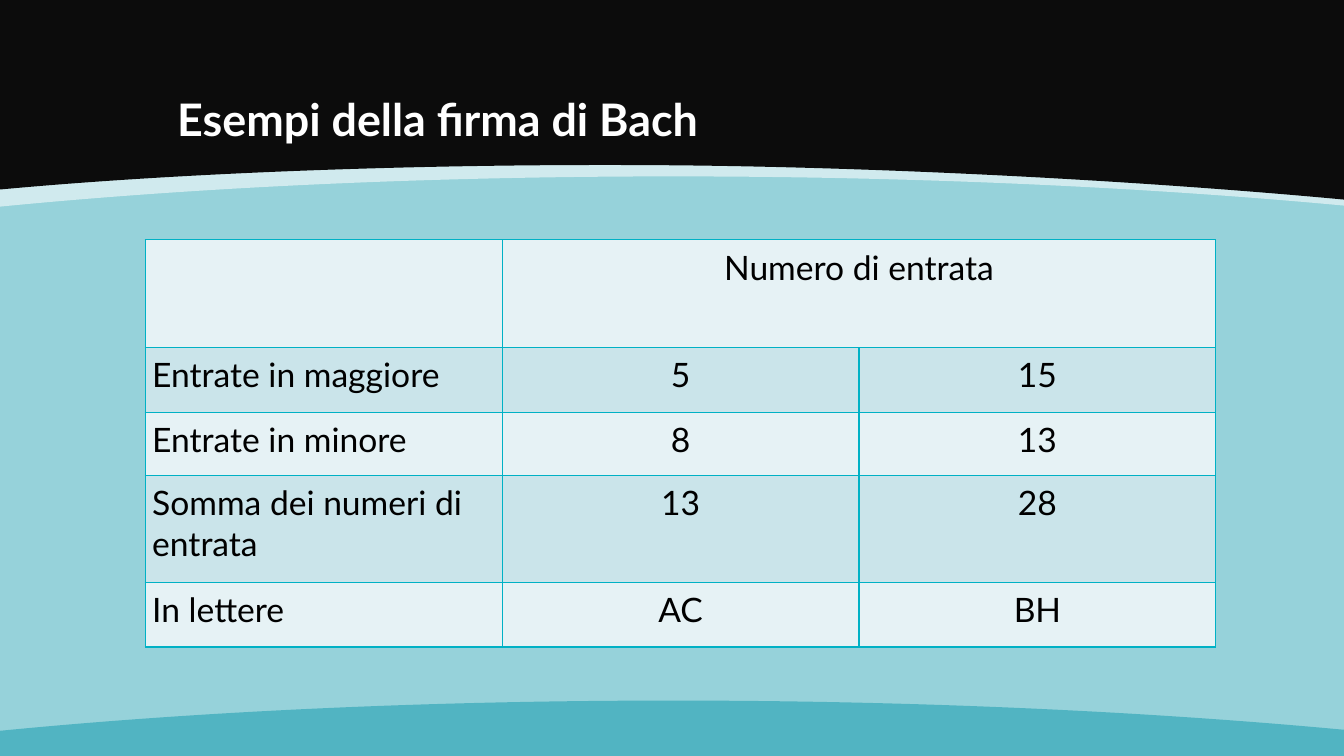
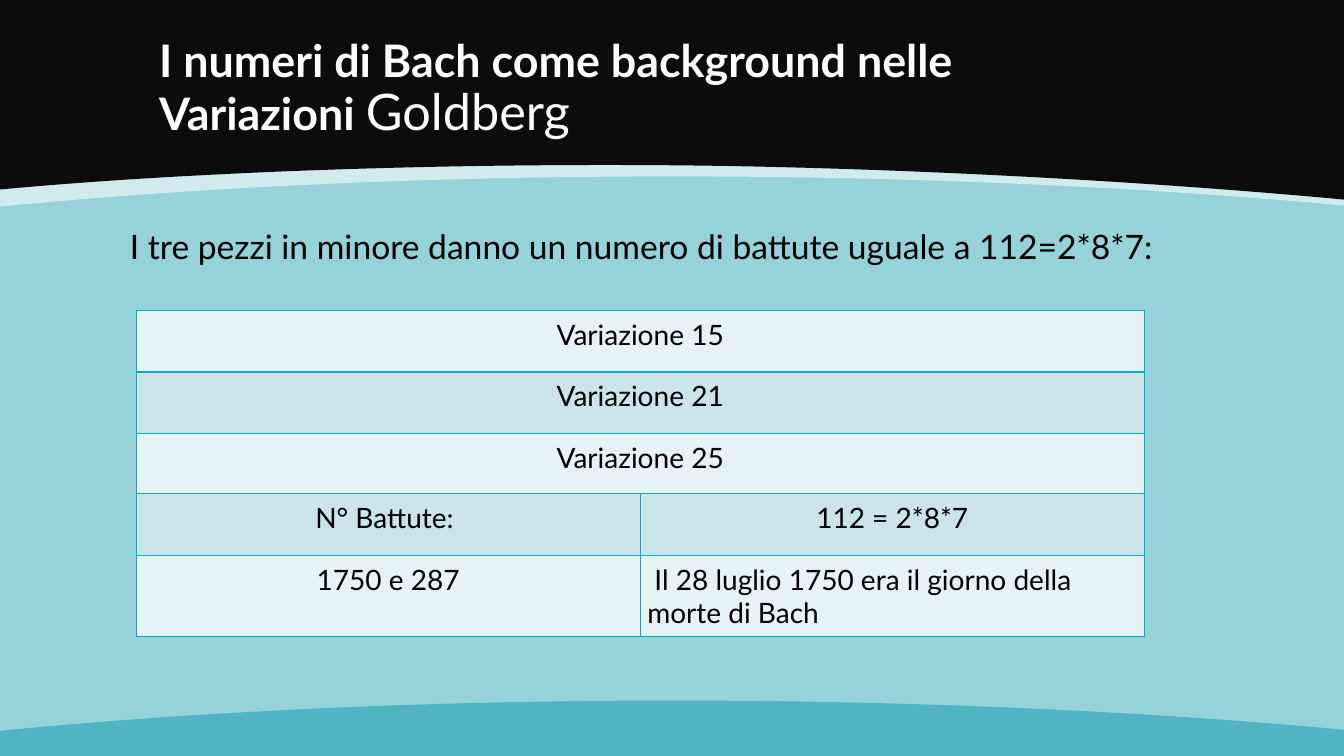
from dataclasses import dataclass

from lxml import etree
from pptx import Presentation
from pptx.dml.color import RGBColor
from pptx.enum.text import MSO_ANCHOR, PP_ALIGN
from pptx.oxml.ns import qn
from pptx.shapes.autoshape import Shape
from pptx.slide import Slide
from pptx.table import _Cell
from pptx.text.text import TextFrame, _Run
from pptx.util import Inches, Pt

CENTER, LEFT = PP_ALIGN.CENTER, PP_ALIGN.LEFT
BOTTOM, MIDDLE = MSO_ANCHOR.BOTTOM, MSO_ANCHOR.MIDDLE

BACKGROUND = RGBColor(0x96, 0xD2, 0xDA)
PALE = RGBColor(0xE9, 0xF5, 0xF7)
NEAR_BLACK = RGBColor(0x0C, 0x0C, 0x0C)
TEAL = RGBColor(0x51, 0xB4, 0xC2)
WHITE = RGBColor(0xFF, 0xFF, 0xFF)
BLACK = RGBColor(0x00, 0x00, 0x00)
BORDER = RGBColor(0x00, 0xB1, 0xC5)
ROW_FILLS = (RGBColor(0xE6, 0xF2, 0xF5), RGBColor(0xCA, 0xE4, 0xEA))

FONT = "Lato"
SLIDE_WIDTH, SLIDE_HEIGHT = 13.33, 7.5
CELL_MARGIN = Inches(0.07)
BORDER_WIDTH = Pt(1)

Point = tuple[float, float]


@dataclass(frozen=True)
class Band:
    """A band between a straight slide edge and two joined Bezier curves."""
    color: RGBColor
    edge_y: float
    curve: tuple[Point, ...]
    opacity: int = 100


@dataclass(frozen=True)
class Box:
    left: float
    top: float
    width: float
    height: float


@dataclass(frozen=True)
class TextPart:
    text: str
    size: int
    bold: bool = False


@dataclass(frozen=True)
class TableContent:
    """A row with fewer texts than columns merges its last cell to the end."""
    left: float
    top: float
    column_width: float
    columns: int
    row_heights: tuple[float, ...]
    rows: tuple[tuple[str, ...], ...]
    size: int
    left_aligned: frozenset[tuple[int, int]]


PALE_CURVE = ((13.33, 2.04), (11.4, 1.86), (9.12, 1.75), (6.68, 1.75),
              (4.23, 1.75), (1.94, 1.86), (0, 2.05))
DARK_CURVE = ((13.33, 1.98), (11.4, 1.8), (8.89, 1.66), (6.68, 1.64),
              (4.45, 1.62), (1.94, 1.7), (0, 1.88))
FOOTER_OFFSET = 5.2
BANDS = (
    Band(PALE, 0, PALE_CURVE, opacity=70),
    Band(NEAR_BLACK, 0, DARK_CURVE),
    Band(TEAL, SLIDE_HEIGHT, tuple((x, y + FOOTER_OFFSET) for x, y in PALE_CURVE)),
)

ENTRY_TABLE = TableContent(
    left=1.44, top=2.38, column_width=3.54, columns=3,
    row_heights=(1.07, 0.64, 0.63, 1.06, 0.64),
    rows=(
        ("", "Numero di entrata"),
        ("Entrate in maggiore", "5", "15"),
        ("Entrate in minore", "8", "13"),
        ("Somma dei numeri di entrata", "13", "28"),
        ("In lettere", "AC", "BH"),
    ),
    size=24,
    left_aligned=frozenset((row, 0) for row in range(5)),
)
VARIATION_TABLE = TableContent(
    left=1.35, top=3.08, column_width=5, columns=2,
    row_heights=(0.61, 0.61, 0.6, 0.61, 0.8),
    rows=(
        ("Variazione 15",),
        ("Variazione 21",),
        ("Variazione 25",),
        ("N° Battute: ", "112 = 2*8*7"),
        ("1750 e 287", " Il 28 luglio 1750 era il giorno della morte di Bach"),
    ),
    size=20,
    left_aligned=frozenset({(4, 1)}),
)


def bend_last_lines(shape: Shape, line_count: int) -> None:
    """Turn each three of the last lines into one cubic Bezier curve."""
    lines = list(shape._element.iter(qn("a:lnTo")))[-line_count:]
    for start in range(0, line_count, 3):
        curve = etree.Element(qn("a:cubicBezTo"))
        lines[start].addprevious(curve)
        for line in lines[start:start + 3]:
            curve.append(line[0])
            line.getparent().remove(line)


def add_band(slide: Slide, band: Band) -> None:
    outline = ((0, band.edge_y), (SLIDE_WIDTH, band.edge_y), *band.curve)
    points = [(Inches(x), Inches(y)) for x, y in outline]
    builder = slide.shapes.build_freeform(*points[0])
    builder.add_line_segments(points[1:], close=True)
    shape = builder.convert_to_shape()
    bend_last_lines(shape, len(band.curve) - 1)
    shape.shadow.inherit = False
    shape.line.fill.background()
    shape.fill.solid()
    shape.fill.fore_color.rgb = band.color
    if band.opacity < 100:
        color = shape.fill._xPr.find(f".//{qn('a:srgbClr')}")
        etree.SubElement(color, qn("a:alpha"), val=str(band.opacity * 1000))


def format_run(run: _Run, size: int, color: RGBColor, bold: bool = False) -> None:
    run.font.name = FONT
    run.font.size = Pt(size)
    run.font.bold = bold
    run.font.color.rgb = color


def add_text_frame(slide: Slide, box: Box, anchor: MSO_ANCHOR) -> TextFrame:
    shape = slide.shapes.add_textbox(
        Inches(box.left), Inches(box.top), Inches(box.width), Inches(box.height))
    text_frame = shape.text_frame
    text_frame.word_wrap = True
    text_frame.vertical_anchor = anchor
    return text_frame


def add_title(slide: Slide, box: Box, parts: tuple[TextPart, ...]) -> None:
    paragraph = add_text_frame(slide, box, BOTTOM).paragraphs[0]
    paragraph.line_spacing = 0.9
    for part in parts:
        run = paragraph.add_run()
        run.text = part.text
        format_run(run, part.size, WHITE, part.bold)


def add_body(slide: Slide, box: Box, text: str) -> None:
    text_frame = add_text_frame(slide, box, MIDDLE)
    text_frame.text = text
    format_run(text_frame.paragraphs[0].runs[0], 24, BLACK)


def set_borders(cell: _Cell) -> None:
    properties = cell._tc.get_or_add_tcPr()
    for index, side in enumerate(("lnL", "lnR", "lnT", "lnB")):
        line = etree.Element(qn(f"a:{side}"), w=str(BORDER_WIDTH))
        fill = etree.SubElement(line, qn("a:solidFill"))
        etree.SubElement(fill, qn("a:srgbClr"), val=str(BORDER))
        properties.insert(index, line)


def format_cell(cell: _Cell, fill: RGBColor) -> None:
    cell.margin_left = cell.margin_right = CELL_MARGIN
    cell.margin_top = cell.margin_bottom = CELL_MARGIN
    cell.fill.solid()
    cell.fill.fore_color.rgb = fill
    set_borders(cell)


def add_content_table(slide: Slide, content: TableContent) -> None:
    table = slide.shapes.add_table(
        len(content.rows), content.columns, Inches(content.left), Inches(content.top),
        Inches(content.column_width * content.columns),
        Inches(sum(content.row_heights))).table
    table.first_row = False
    table.horz_banding = False
    for column in table.columns:
        column.width = Inches(content.column_width)
    for row_index, texts in enumerate(content.rows):
        table.rows[row_index].height = Inches(content.row_heights[row_index])
        for column_index in range(content.columns):
            format_cell(table.cell(row_index, column_index), ROW_FILLS[row_index % 2])
        for column_index, text in enumerate(texts):
            cell = table.cell(row_index, column_index)
            cell.text_frame.text = text
            paragraph = cell.text_frame.paragraphs[0]
            is_left = (row_index, column_index) in content.left_aligned
            paragraph.alignment = LEFT if is_left else CENTER
            for run in paragraph.runs:
                format_run(run, content.size, BLACK)
        if len(texts) < content.columns:
            table.cell(row_index, len(texts) - 1).merge(
                table.cell(row_index, content.columns - 1))


def add_banded_slide(presentation: Presentation) -> Slide:
    slide = presentation.slides.add_slide(presentation.slide_layouts[6])
    slide.background.fill.solid()
    slide.background.fill.fore_color.rgb = BACKGROUND
    for band in BANDS:
        add_band(slide, band)
    return slide


def add_signature_slide(presentation: Presentation) -> None:
    slide = add_banded_slide(presentation)
    add_title(slide, Box(1.66, 0.3, 10, 1.2),
              (TextPart("Esempi della firma di Bach", 32, bold=True),))
    add_content_table(slide, ENTRY_TABLE)


def add_variations_slide(presentation: Presentation) -> None:
    slide = add_banded_slide(presentation)
    add_body(slide, Box(1.19, 2.19, 10.79, 0.5),
             "I tre pezzi in minore danno un numero di battute uguale a 112=2*8*7:")
    add_content_table(slide, VARIATION_TABLE)
    add_title(slide, Box(1.48, 0.25, 10, 1.2), (
        TextPart("I numeri di Bach come background nelle Variazioni ", 32, bold=True),
        TextPart("Goldberg", 36),
    ))


def main() -> None:
    presentation = Presentation()
    presentation.slide_width = Inches(SLIDE_WIDTH)
    presentation.slide_height = Inches(SLIDE_HEIGHT)
    add_signature_slide(presentation)
    add_variations_slide(presentation)
    presentation.save("out.pptx")


if __name__ == "__main__":
    main()
